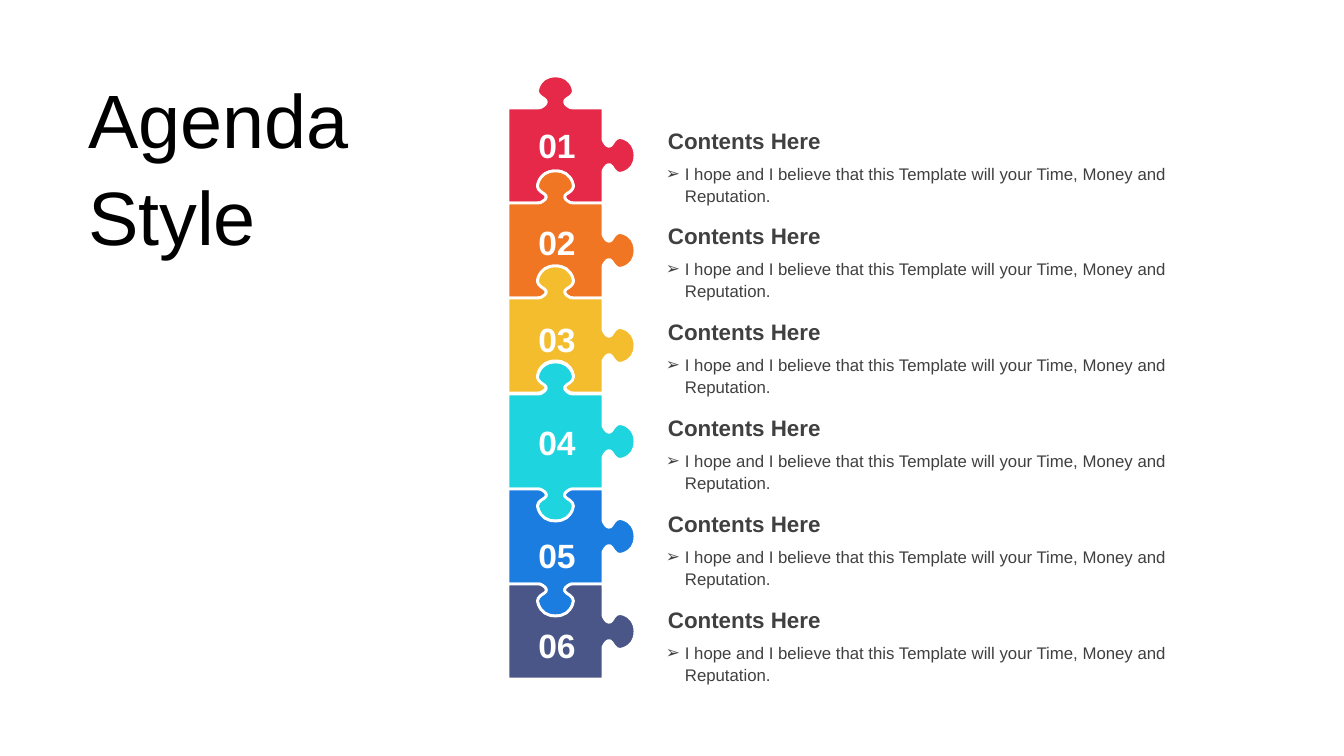
from lxml.etree import SubElement
from pptx import Presentation
from pptx.dml.color import RGBColor
from pptx.enum.text import MSO_ANCHOR, PP_ALIGN
from pptx.oxml.ns import qn
from pptx.util import Pt

BLACK = RGBColor(0, 0, 0)
WHITE = RGBColor(255, 255, 255)
GREY = RGBColor(0x40, 0x40, 0x40)
RED = RGBColor(0xE6, 0x29, 0x49)
ORANGE = RGBColor(0xF0, 0x76, 0x24)
YELLOW = RGBColor(0xF4, 0xBD, 0x2D)
CYAN = RGBColor(0x1E, 0xD4, 0xDE)
BLUE = RGBColor(0x1C, 0x7D, 0xE1)
INDIGO = RGBColor(0x49, 0x56, 0x87)

# Content
TITLE = "Agenda Style"
HEAD = "Contents Here"
NOTE = "I hope and I believe that this Template will your Time, Money and Reputation."
KNOB, FLAT, SOCKET = 1, 0, -1
# number, top of the number box, colour, top edge, bottom edge
PIECES = [
    ("01", 119, RED, KNOB, SOCKET),
    ("02", 216, ORANGE, KNOB, SOCKET),
    ("03", 313, YELLOW, KNOB, SOCKET),
    ("04", 416, CYAN, KNOB, KNOB),
    ("05", 529, BLUE, SOCKET, KNOB),
    ("06", 619, INDIGO, SOCKET, FLAT),
]

# Layout in px
LEFT, TOP, STACK, SIDE = 508, 108, 572, 95
TEXT_X, TEXT_Y, TEXT_SPAN, TEXT_W = 656, 121, 479, 610
INSET_X, INSET_Y = 12, 5
INDENT = 19

# Left half of a knob as a start and four curves of three points each:
# distance along the edge from its middle, height above it
HALF = [
    (-18, 0),
    (-16, 0), (-14, 0), (-12, 2),
    (-9, 4), (-8, 7), (-11, 9),
    (-16, 12), (-20, 15), (-17, 21),
    (-14, 28), (-9, 32), (0, 32),
]
BUMP = HALF + [(-x, y) for x, y in HALF[-2::-1]]


def px(n):
    return round(n * 914400 / 100.8)


def outline(x, y, kinds):
    """Walk clockwise round a piece; a part is a line's end or a curve's three points."""
    parts = []
    for kind, (dx, dy) in zip(kinds, [(1, 0), (0, 1), (-1, 0), (0, -1)]):
        parts.append([(px(x), px(y))])
        if kind != FLAT:
            knob = []
            for along, rise in BUMP:
                s, h = SIDE / 2 + along, rise * kind
                knob.append((px(x + dx * s + dy * h), px(y + dy * s - dx * h)))
            parts.append(knob[:1])
            parts += [knob[i:i + 3] for i in range(1, len(knob), 3)]
        x, y = x + dx * SIDE, y + dy * SIDE
    return parts


def draw(shapes, parts, color):
    (start,), *rest = parts
    path = shapes.build_freeform(*start)
    path.add_line_segments([point for part in rest for point in part], close=True)
    piece = path.convert_to_shape()
    # Join each three points of a curve into one bezier
    lines = iter(list(piece._element.iter(qn("a:lnTo"))))
    for part in rest:
        group = [next(lines) for _ in part]
        if len(group) == 3:
            group[0].tag = qn("a:cubicBezTo")
            for line in group[1:]:
                group[0].append(line[0])
                line.getparent().remove(line)
    piece.shadow.inherit = False
    piece.fill.solid()
    piece.fill.fore_color.rgb = color
    piece.line.color.rgb = WHITE
    piece.line.width = Pt(2)


def write(shape, text, size, color, bold=False, align=PP_ALIGN.LEFT,
          anchor=MSO_ANCHOR.TOP, inset=None, bullet=None):
    frame = shape.text_frame
    frame.word_wrap = True
    frame.vertical_anchor = anchor
    if inset:
        frame.margin_left = frame.margin_right = px(inset)
        frame.margin_top = frame.margin_bottom = px(INSET_Y)
    para = frame.paragraphs[0]
    para.text = text
    para.alignment = align
    para.line_spacing = 1.06
    if bullet:
        props = para._p.get_or_add_pPr()
        props.set("marL", str(px(INDENT)))
        props.set("indent", str(-px(INDENT)))
        SubElement(props, qn("a:buFont")).set("typeface", "Arial")
        SubElement(props, qn("a:buChar")).set("char", bullet)
    font = para.runs[0].font
    font.name, font.size, font.bold = "Arial", Pt(size), bold
    font.color.rgb = color


def main():
    deck = Presentation()
    deck.slide_width, deck.slide_height = px(1344), px(756)
    slide = deck.slides.add_slide(deck.slide_layouts[5])
    shapes = slide.shapes

    def box(x, y, w, h):
        return shapes.add_textbox(px(x), px(y), px(w), px(h))

    # Title
    title = shapes.title
    title.left, title.top, title.width, title.height = px(78), px(67), px(299), px(194)
    write(title, TITLE, 54, BLACK, anchor=MSO_ANCHOR.MIDDLE)

    # Puzzle pieces
    for i, (_, _, color, top, bottom) in enumerate(PIECES):
        y = TOP + STACK * i // len(PIECES)
        draw(shapes, outline(LEFT, y, (top, KNOB, bottom, FLAT)), color)

    # Numbers, headings and notes
    last = len(PIECES) - 1
    for i, (number, y, *_) in enumerate(PIECES):
        write(box(518, y, 78, 50), number, 24, WHITE, bold=True,
              align=PP_ALIGN.CENTER, anchor=MSO_ANCHOR.MIDDLE, inset=INSET_X)
        y = TEXT_Y + TEXT_SPAN * i // last
        write(box(TEXT_X, y, TEXT_W, 37), HEAD, 16, GREY, bold=True, inset=INSET_X)
        write(box(TEXT_X, y + 37, TEXT_W, 30), NOTE, 12, GREY, bullet="➢")

    deck.save("out.pptx")


if __name__ == "__main__":
    main()
